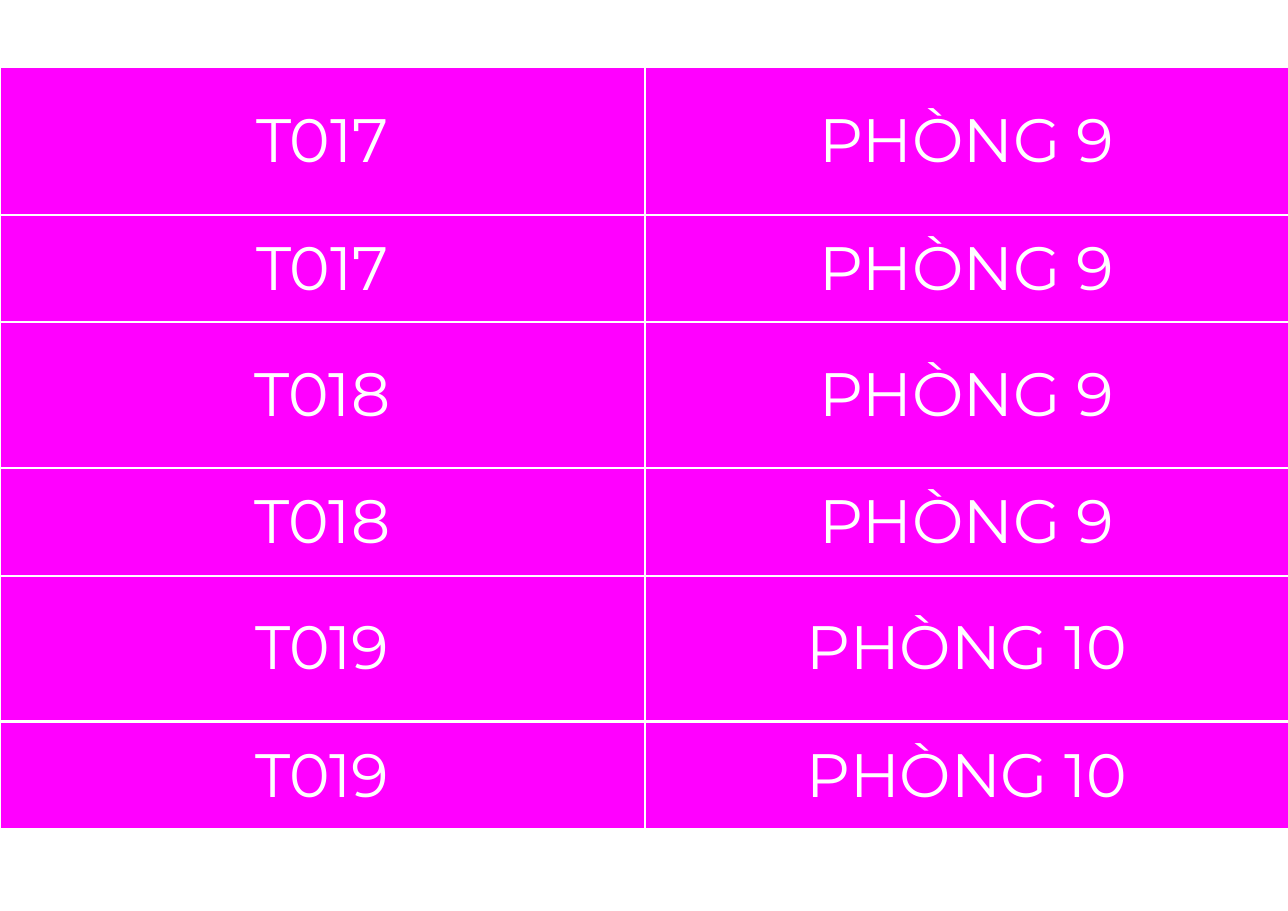
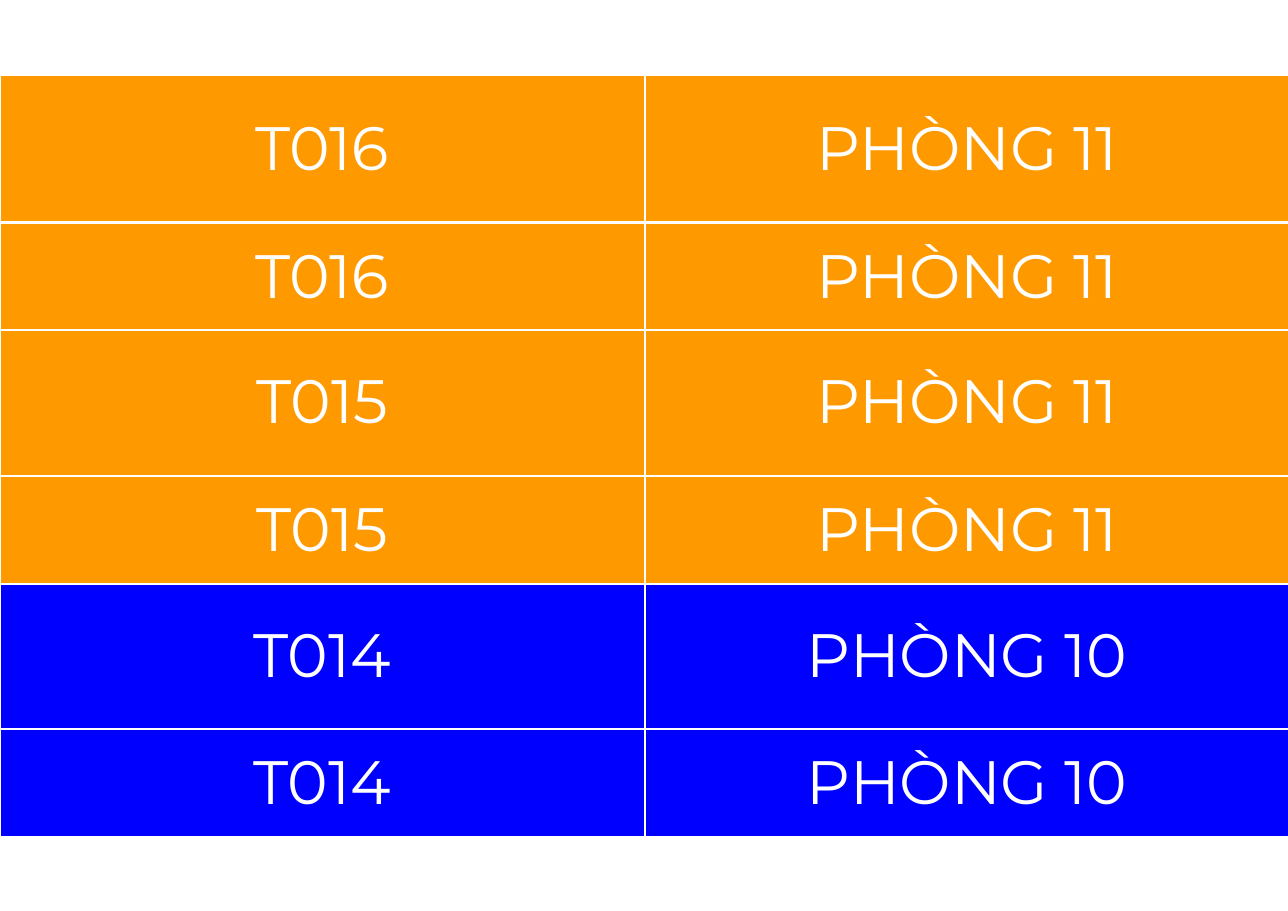
"""Build two slides of room assignments, each code shown in a tall and a short strip."""
from typing import NamedTuple

from lxml.etree import SubElement
from pptx import Presentation
from pptx.dml.color import RGBColor
from pptx.enum.text import MSO_ANCHOR, PP_ALIGN
from pptx.oxml.ns import qn
from pptx.slide import Slide
from pptx.table import _Cell
from pptx.util import Emu, Pt

EMU_PER_PX = 9144
PAGE_WIDTH, PAGE_HEIGHT = 1169, 827
COLUMN_WIDTH = 585
STRIP_HEIGHTS = (134, 94)
PAIR_PITCH = 230
INSET_X, INSET_Y = 12, 15

WHITE = RGBColor(0xFF, 0xFF, 0xFF)
MAGENTA = RGBColor(0xFF, 0x00, 0xFF)
ORANGE = RGBColor(0xFF, 0x99, 0x00)
BLUE = RGBColor(0x00, 0x00, 0xFF)
FONT = "Montserrat"
TEXT_SIZE = Pt(40)
BORDER_WIDTH = Pt(1.5)


class Assignment(NamedTuple):
    code: str
    room: str
    color: RGBColor


class Board(NamedTuple):
    top: int
    assignments: tuple[Assignment, ...]


BOARDS = (
    Board(61, (
        Assignment("T017", "PHÒNG 9", MAGENTA),
        Assignment("T018", "PHÒNG 9", MAGENTA),
        Assignment("T019", "PHÒNG 10", MAGENTA),
    )),
    Board(68, (
        Assignment("T016", "PHÒNG 11", ORANGE),
        Assignment("T015", "PHÒNG 11", ORANGE),
        Assignment("T014", "PHÒNG 10", BLUE),
    )),
)


def px(length: int) -> Emu:
    return Emu(length * EMU_PER_PX)


def add_borders(cell: _Cell) -> None:
    properties = cell._tc.get_or_add_tcPr()
    for side in ("lnL", "lnR", "lnT", "lnB"):
        line = SubElement(properties, qn(f"a:{side}"), w=str(BORDER_WIDTH))
        fill = SubElement(line, qn("a:solidFill"))
        SubElement(fill, qn("a:srgbClr"), val=str(WHITE))


def fill_cell(cell: _Cell, text: str, color: RGBColor) -> None:
    add_borders(cell)
    cell.fill.solid()
    cell.fill.fore_color.rgb = color
    cell.vertical_anchor = MSO_ANCHOR.MIDDLE
    cell.margin_left = cell.margin_right = px(INSET_X)
    cell.margin_top = cell.margin_bottom = px(INSET_Y)
    para = cell.text_frame.paragraphs[0]
    para.alignment = PP_ALIGN.CENTER
    span = para.add_run()
    span.text = text
    span.font.name = FONT
    span.font.size = TEXT_SIZE
    span.font.color.rgb = WHITE


def add_strip(page: Slide, assignment: Assignment, top: int, height: int) -> None:
    frame = page.shapes.add_table(1, 2, 0, px(top), px(2 * COLUMN_WIDTH), px(height))
    table = frame.table
    table.first_row = table.horz_banding = False
    for column, text in enumerate((assignment.code, assignment.room)):
        table.columns[column].width = px(COLUMN_WIDTH)
        fill_cell(table.cell(0, column), text, assignment.color)


def add_board(page: Slide, board: Board) -> None:
    for index, assignment in reversed(list(enumerate(board.assignments))):
        top = board.top + index * PAIR_PITCH
        for height in STRIP_HEIGHTS:
            add_strip(page, assignment, top, height)
            top += height


def main() -> None:
    deck = Presentation()
    deck.slide_width, deck.slide_height = px(PAGE_WIDTH), px(PAGE_HEIGHT)
    for board in BOARDS:
        add_board(deck.slides.add_slide(deck.slide_layouts[6]), board)
    deck.save("out.pptx")


if __name__ == "__main__":
    main()
